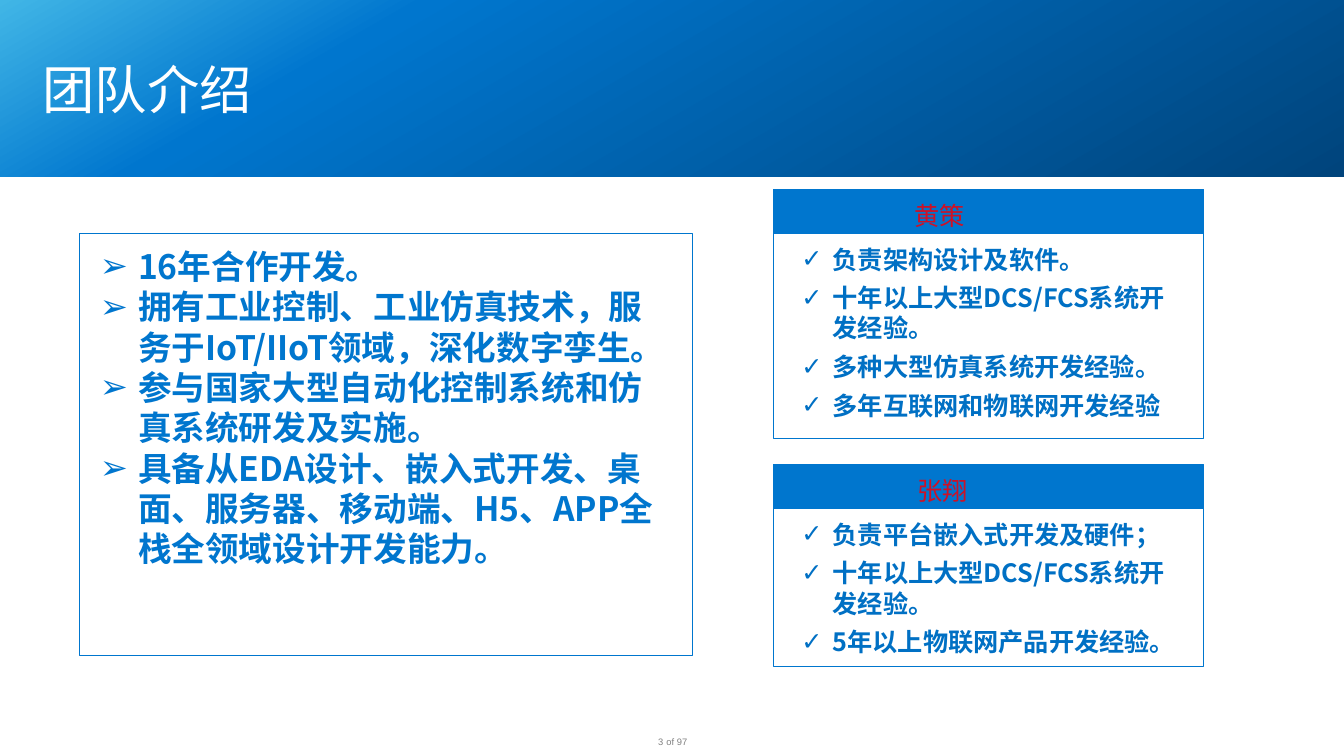
from copy import deepcopy
from pptx import Presentation
from pptx.dml.color import RGBColor as Rgb
from pptx.enum.shapes import MSO_SHAPE as Kind
from pptx.enum.text import MSO_ANCHOR as Anchor, MSO_AUTO_SIZE as Auto, PP_ALIGN as Align
from pptx.oxml.ns import qn
from pptx.oxml.xmlchemy import OxmlElement as Node
from pptx.util import Inches, Pt

TITLE = "团队介绍"
TEAM = [
    "16年合作开发。",
    "拥有工业控制、工业仿真技术，服务于IoT/IIoT领域，深化数字孪生。",
    "参与国家大型自动化控制系统和仿真系统研发及实施。",
    "具备从EDA设计、嵌入式开发、桌面、服务器、移动端、H5、APP全栈全领域设计开发能力。",
]
CARDS = [
    dict(name="黄策", top=1.88, high=2.46, wide=2.39, room=1.4, items=[
        "负责架构设计及软件。",
        "十年以上大型DCS/FCS系统开发经验。",
        "多种大型仿真系统开发经验。",
        "多年互联网和物联网开发经验",
    ]),
    dict(name="张翔", top=4.61, high=1.99, wide=2.46, room=1.56, items=[
        "负责平台嵌入式开发及硬件；",
        "十年以上大型DCS/FCS系统开发经验。",
        "5年以上物联网产品开发经验。",
    ]),
]
PAGE = [("3", 6.46, 0.12, Align.RIGHT), ("of 97", 6.61, 0.21, Align.LEFT)]
FADE = [(0, "41B6E6"), (0.26, "0076CE"), (1, "00447C")]
BLUE, INK, RED, GRAY, WHITE = "0076CE", "0070C4", "CE1126", "808080", "FFFFFF"
SANS, SC, JP = "Arial", "Noto Sans CJK SC", "Noto Sans CJK JP"
HEAD = 0.44


def color(code):
    return Rgb.from_string(code)


def place(shape, x, y, w, h):
    shape.left, shape.top = Inches(x), Inches(y)
    shape.width, shape.height = Inches(w), Inches(h)


def rect(x, y, w, h, fill=None, line=BLUE):
    shape = slide.shapes.add_shape(Kind.RECTANGLE, Inches(x), Inches(y), Inches(w), Inches(h))
    shape.shadow.inherit = False
    if fill:
        shape.fill.solid()
        shape.fill.fore_color.rgb = color(fill)
    else:
        shape.fill.background()
    if line:
        shape.line.color.rgb = color(line)
        shape.line.width = Pt(0.75)
    else:
        shape.line.fill.background()
    return shape


def box(x, y, w, h):
    return slide.shapes.add_textbox(Inches(x), Inches(y), Inches(w), Inches(h))


def write(shape, lines, size, face, ink, bold=False, align=Align.LEFT,
          anchor=Anchor.TOP, pad=(0.1, 0.1), wrap=True, fit=Auto.NONE, lead=1, gap=0):
    frame = shape.text_frame
    frame.text = "\n".join(lines)
    frame.word_wrap, frame.auto_size, frame.vertical_anchor = wrap, fit, anchor
    frame.margin_left = frame.margin_right = Inches(pad[0])
    frame.margin_top = frame.margin_bottom = Inches(pad[1])
    for para in frame.paragraphs:
        para.alignment, para.line_spacing, para.space_before = align, lead, Pt(gap)
        for run in para.runs:
            font = run.font
            font.size, font.name, font.bold = Pt(size), face, bold
            font.color.rgb = color(ink)
            if face != SANS:
                east = Node("a:ea")
                east.set("typeface", face)
                run.font.color
                run._r.get_or_add_rPr().append(east)


def mark(shape, char, left, hang):
    for para in shape.text_frame.paragraphs:
        props = para._p.get_or_add_pPr()
        props.set("marL", str(Inches(left)))
        props.set("indent", str(-Inches(hang)))
        face, sign = Node("a:buFont"), Node("a:buChar")
        face.set("typeface", SANS)
        sign.set("char", char)
        props.extend([face, sign])


deck = Presentation()
deck.slide_width, deck.slide_height = Inches(13.33), Inches(7.5)
slide = deck.slides.add_slide(deck.slide_layouts[1])
title, body = slide.shapes.title, slide.placeholders[1]

band = rect(0, 0, 13.33, 1.75, line=None)
band.fill.gradient()
band.fill.gradient_angle = 300
stops = band.element.find(".//" + qn("a:gsLst"))
stops.append(deepcopy(stops[0]))
for stop, (spot, code) in zip(band.fill.gradient_stops, FADE):
    stop.position, stop.color.rgb = spot, color(code)
title.element.addprevious(band.element)

place(title, 0.42, 0.63, 12.5, 0.57)
write(title, [TITLE], 37.4, SANS, WHITE, anchor=Anchor.MIDDLE, pad=(0, 0), lead=0.9)

for text, x, w, align in PAGE:
    write(box(x, 7.32, w, 0.1), [text], 6.7, SANS, GRAY, align=align,
          anchor=Anchor.MIDDLE, pad=(0, 0), wrap=False, fit=Auto.SHAPE_TO_FIT_TEXT, lead=0.9)

for card in CARDS:
    top = card["top"]
    rect(7.67, top, 4.27, HEAD, BLUE)
    rect(7.67, top + 0.01, 4.27, card["high"])
    skills = box(7.83, top + HEAD, 3.83, card["room"])
    write(skills, card["items"], 18, SC, INK, bold=True, gap=6)
    mark(skills, "✓", 0.33, 0.31)
    write(box(8.12, top - 0.02, card["wide"], 0.53), [card["name"]], 18, JP, RED,
          align=Align.CENTER, anchor=Anchor.BOTTOM)

place(body, 0.89, 2.39, 5.72, 3.33)
write(body, TEAM, 24, SC, BLUE, bold=True, pad=(0.1, 0.05), fit=Auto.SHAPE_TO_FIT_TEXT)
mark(body, "➢", 0.38, 0.38)
rect(0.79, 2.32, 6.08, 4.18)

deck.save("out.pptx")
